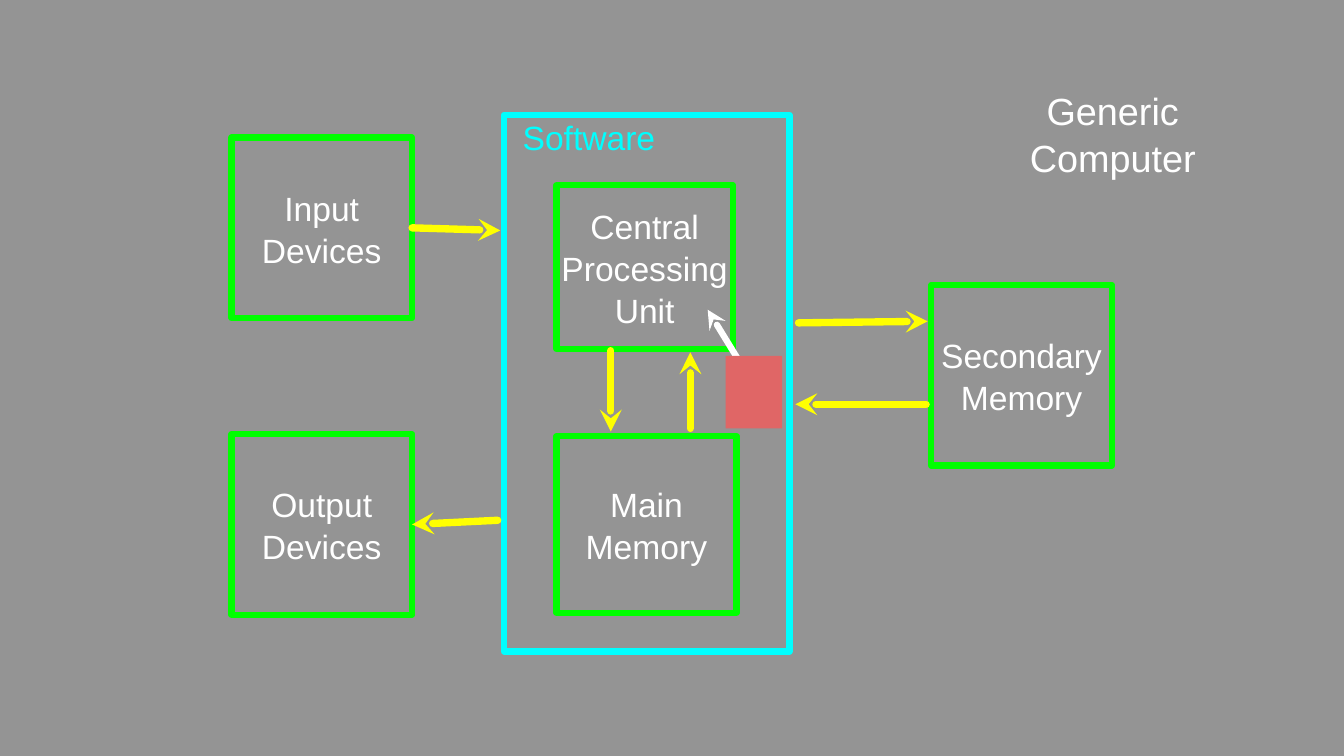
import pptx
import pptx.util
import pptx.dml.color
import pptx.enum.shapes
import pptx.enum.text
import pptx.oxml
import pptx.oxml.ns
from pptx.util import Pt

RGBColor = pptx.dml.color.RGBColor
GRAY = RGBColor(0x94, 0x94, 0x94)
CYAN = RGBColor(0x00, 0xFF, 0xFF)
GREEN = RGBColor(0x00, 0xFF, 0x00)
YELLOW = RGBColor(0xFF, 0xFF, 0x00)
WHITE = RGBColor(0xFF, 0xFF, 0xFF)
RED = RGBColor(0xE0, 0x66, 0x66)

ALIGN = pptx.enum.text.PP_ALIGN
ANCHOR = pptx.enum.text.MSO_ANCHOR
RIGHT_SIDE = 3

# Boxes are left, top, width, height; arrows are tail x, y, head x, y.
SOFTWARE = (480, 109.5, 272, 511)
TITLE = (979, 81.5, 161.5, 90)
MARKER = (691, 339, 54, 69)
UNITS = {
    "Input\nDevices": (220.5, 131, 172, 172),
    "Central\nProcessing\nUnit": (530, 176.5, 168, 156),
    "Main\nMemory": (530, 415.5, 171.5, 168),
    "Output\nDevices": (220.5, 413.5, 172, 172),
    "Secondary\nMemory": (887, 271.5, 172, 172),
}
INPUT_FLOW = (392.5, 217, 476.5, 219.5)
OUTPUT_FLOW = (474, 495.5, 392.5, 499.5)
OTHER_FLOWS = [
    (581.75, 334, 581.75, 411),
    (657.5, 408, 657.5, 335.5),
    (760.5, 307.5, 883.5, 306),
    (882, 385, 757.5, 385),
]
MARKER_POINTER = (708, 350.5, 674, 295)


def write_lines(shape, text, size, color, align=ALIGN.CENTER, anchor=ANCHOR.MIDDLE, indent=0):
    """Fill a shape with one paragraph per line of text."""
    frame = shape.text_frame
    frame.word_wrap = True
    frame.vertical_anchor = anchor
    frame.margin_left = Pt(indent)
    frame.margin_top = frame.margin_right = frame.margin_bottom = 0
    frame.text = text
    for para in frame.paragraphs:
        para.alignment = align
        para.line_spacing = 1.04
        para.font.name = "Arial"
        para.font.size = Pt(size)
        para.font.color.rgb = color


def add_rectangle(page, box):
    shape = page.shapes.add_shape(
        pptx.enum.shapes.MSO_SHAPE.RECTANGLE, *map(Pt, box))
    shape.shadow.inherit = False
    return shape


def add_frame(page, box, color):
    """Draw a hollow rectangle with a thick outline."""
    shape = add_rectangle(page, box)
    shape.fill.background()
    shape.line.color.rgb = color
    shape.line.width = Pt(6)
    return shape


def add_software(page, box):
    frame = add_frame(page, box, CYAN)
    write_lines(frame, "Software", 32, CYAN, ALIGN.LEFT, ANCHOR.TOP, indent=17.8)


def add_unit(page, box, label):
    unit = add_frame(page, box, GREEN)
    write_lines(unit, label, 32, WHITE)
    return unit


def add_title(page, box):
    write_lines(page.shapes.add_textbox(*map(Pt, box)), "Generic\nComputer", 36, WHITE)


def add_marker(page, box):
    marker = add_rectangle(page, box)
    marker.fill.solid()
    marker.fill.fore_color.rgb = RED
    marker.line.fill.background()


def add_arrow(page, ends, color=YELLOW, width=7):
    arrow = page.shapes.add_connector(
        pptx.enum.shapes.MSO_CONNECTOR.STRAIGHT, *map(Pt, ends))
    arrow.line.color.rgb = color
    arrow.line.width = Pt(width)
    outline = arrow.line._get_or_add_ln()
    outline.set("cap", "rnd")
    for tag, attributes in (("a:round", {}), ("a:tailEnd", {"type": "stealth"})):
        outline.append(pptx.oxml.ns.qn(tag) and outline.makeelement(
            pptx.oxml.ns.qn(tag), attributes))
    properties = arrow._element.spPr
    properties.append(properties.makeelement(pptx.oxml.ns.qn("a:effectLst"), {}))
    return arrow


def add_computer_slide(deck):
    page = deck.slides.add_slide(deck.slide_layouts[6])
    page.background.fill.solid()
    page.background.fill.fore_color.rgb = GRAY

    add_software(page, SOFTWARE)
    units = {label: add_unit(page, box, label) for label, box in UNITS.items()}
    add_arrow(page, INPUT_FLOW).begin_connect(units["Input\nDevices"], RIGHT_SIDE)
    add_arrow(page, OUTPUT_FLOW).end_connect(units["Output\nDevices"], RIGHT_SIDE)
    for flow in OTHER_FLOWS:
        add_arrow(page, flow)
    add_title(page, TITLE)
    add_arrow(page, MARKER_POINTER, WHITE, 6)
    add_marker(page, MARKER)


def main():
    deck = pptx.Presentation()
    deck.slide_width = Pt(1280)
    deck.slide_height = Pt(720)
    add_computer_slide(deck)
    deck.save("out.pptx")


if __name__ == "__main__":
    main()
